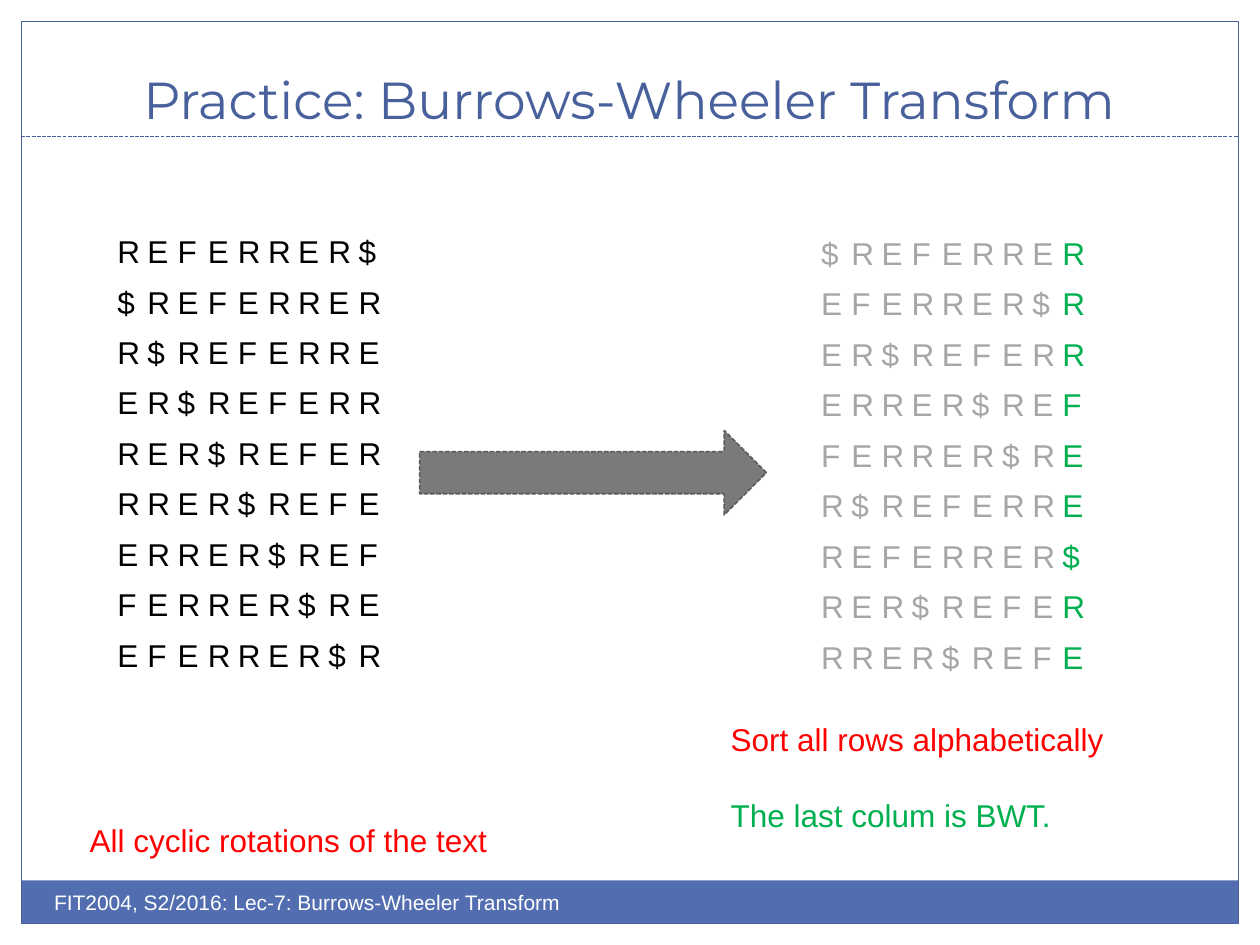
"""Build the Burrows-Wheeler Transform practice slide."""
from dataclasses import dataclass

from lxml.etree import SubElement
from pptx import Presentation
from pptx.dml.color import RGBColor
from pptx.enum.dml import MSO_LINE
from pptx.enum.shapes import MSO_CONNECTOR, MSO_SHAPE
from pptx.enum.text import MSO_ANCHOR as Anchor, PP_ALIGN as Align
from pptx.oxml.ns import qn
from pptx.util import Cm, Pt

WHITE = RGBColor(0xFF, 0xFF, 0xFF)
BLACK = RGBColor(0x00, 0x00, 0x00)
BLUE = RGBColor(0x48, 0x60, 0x9B)
BAND_BLUE = RGBColor(0x52, 0x6D, 0xB0)
RED = RGBColor(0xFF, 0x00, 0x00)
GREEN = RGBColor(0x00, 0xB0, 0x50)
PALE_GRAY = RGBColor(0xA6, 0xA6, 0xA6)
GRAY = RGBColor(0x7A, 0x7A, 0x7A)
DARK_GRAY = RGBColor(0x5A, 0x5A, 0x5A)

WORD = "REFERRER$"
ROTATIONS = [WORD[-i:] + WORD[:-i] if i else WORD for i in range(len(WORD))]


@dataclass(frozen=True)
class Box:
    left: float
    top: float
    width: float
    height: float

    def lengths(self) -> tuple:
        return Cm(self.left), Cm(self.top), Cm(self.width), Cm(self.height)


@dataclass(frozen=True)
class Caption:
    box: Box
    lines: tuple
    size: float = 18
    face: str = "Arial"
    align: Align = Align.LEFT
    anchor: Anchor = Anchor.TOP
    wrap: bool = False


@dataclass(frozen=True)
class Matrix:
    box: Box
    rows: list
    color: RGBColor
    last_color: RGBColor


@dataclass(frozen=True)
class Figure:
    kind: MSO_SHAPE
    box: Box
    fill: RGBColor | None = None
    line: RGBColor | None = None
    weight: float = 0.75
    dashed: bool = False


FRAME = Box(0.43, 0.43, 24.54, 18.19)
FIGURES = [
    Figure(MSO_SHAPE.RECTANGLE, Box(FRAME.left, 17.75, FRAME.width, 0.86), fill=BAND_BLUE),
    Figure(MSO_SHAPE.RECTANGLE, FRAME, line=BLUE),
    Figure(MSO_SHAPE.RIGHT_ARROW, Box(8.46, 8.68, 6.99, 1.7), GRAY, DARK_GRAY, 0.9, True),
]
CAPTIONS = [
    Caption(Box(0.84, 0.64, 23.7, 2.11), (("Practice: Burrows-Wheeler Transform", BLUE),),
            29.7, "Montserrat", Align.CENTER, Anchor.BOTTOM, True),
    Caption(Box(0.84, 17.81, 12.7, 1.02),
            (("FIT2004, S2/2016: Lec-7: Burrows-Wheeler Transform", WHITE),), 12, wrap=True),
    Caption(Box(1.56, 16.42, 8.61, 1.02), (("All cyclic rotations of the text", RED),)),
    Caption(Box(14.48, 14.4, 8.1, 2.57),
            (("Sort all rows alphabetically", RED), ("The last colum is BWT.", GREEN))),
]
MATRICES = [
    Matrix(Box(2.11, 4.61, 5.21, 9.14), ROTATIONS, BLACK, BLACK),
    Matrix(Box(16.3, 4.65, 5.21, 9.14), sorted(ROTATIONS), PALE_GRAY, GREEN),
]


def style_font(paragraph, size: float, face: str, color: RGBColor) -> None:
    paragraph.font.size = Pt(size)
    paragraph.font.name = face
    paragraph.font.color.rgb = color


def draw_figure(shapes, figure: Figure) -> None:
    shape = shapes.add_shape(figure.kind, *figure.box.lengths())
    shape.shadow.inherit = False
    if figure.fill is None:
        shape.fill.background()
    else:
        shape.fill.solid()
        shape.fill.fore_color.rgb = figure.fill
    if figure.line is None:
        shape.line.fill.background()
    else:
        shape.line.color.rgb = figure.line
        shape.line.width = Pt(figure.weight)
    if figure.dashed:
        shape.line.dash_style = MSO_LINE.SQUARE_DOT


def draw_title_rule(shapes, top: float) -> None:
    rule = shapes.add_connector(MSO_CONNECTOR.STRAIGHT, Cm(FRAME.left), Cm(top),
                                Cm(FRAME.left + FRAME.width), Cm(top))
    rule.line.color.rgb = BLUE
    rule.line.width = Pt(0.75)
    rule.line.dash_style = MSO_LINE.SQUARE_DOT
    SubElement(rule._element.spPr, qn("a:effectLst"))


def draw_caption(shapes, caption: Caption) -> None:
    frame = shapes.add_textbox(*caption.box.lengths()).text_frame
    frame.word_wrap = caption.wrap
    frame.vertical_anchor = caption.anchor
    for i, (text, color) in enumerate(caption.lines):
        paragraph = frame.add_paragraph() if i else frame.paragraphs[0]
        paragraph.text = text
        paragraph.alignment = caption.align
        if i:
            paragraph.space_before = Pt(21.5)
        style_font(paragraph, caption.size, caption.face, color)


def clear_cell(cell) -> None:
    properties = cell._tc.get_or_add_tcPr()
    for side in ("a:lnL", "a:lnR", "a:lnT", "a:lnB"):
        SubElement(SubElement(properties, qn(side), w="0"), qn("a:noFill"))
    cell.fill.background()


def draw_matrix(shapes, matrix: Matrix) -> None:
    count = len(matrix.rows)
    table = shapes.add_table(count, count, *matrix.box.lengths()).table
    table.first_row = table.horz_banding = False
    for r, letters in enumerate(matrix.rows):
        for c, letter in enumerate(letters):
            cell = table.cell(r, c)
            clear_cell(cell)
            paragraph = cell.text_frame.paragraphs[0]
            paragraph.text = letter
            paragraph.alignment = Align.CENTER
            style_font(paragraph, 18, "Arial",
                       matrix.last_color if c == count - 1 else matrix.color)


def main() -> None:
    deck = Presentation()
    deck.slide_width, deck.slide_height = Cm(25.4), Cm(19.05)
    shapes = deck.slides.add_slide(deck.slide_layouts[6]).shapes
    for figure in FIGURES:
        draw_figure(shapes, figure)
    draw_title_rule(shapes, 2.75)
    for caption in CAPTIONS:
        draw_caption(shapes, caption)
    for matrix in MATRICES:
        draw_matrix(shapes, matrix)
    deck.save("out.pptx")


if __name__ == "__main__":
    main()
